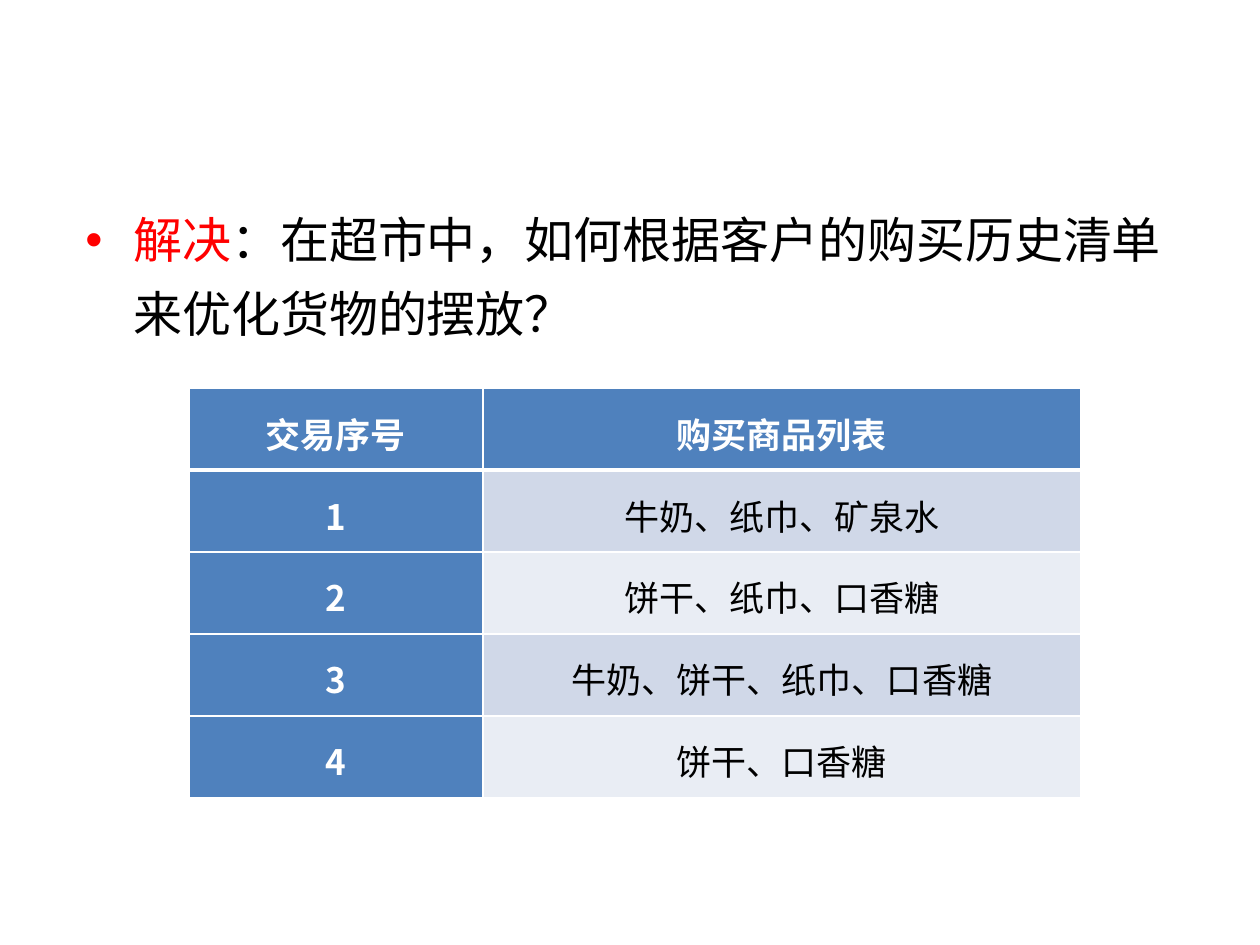
from lxml.etree import SubElement
from pptx import Presentation
from pptx.dml.color import RGBColor
from pptx.enum.text import MSO_ANCHOR, PP_ALIGN
from pptx.oxml.ns import qn
from pptx.util import Emu, Pt

PX = 914400 // 126
FONT = "Noto Sans CJK SC"
COLORS = {
    "white": "FFFFFF",
    "black": "000000",
    "accent": "FF0000",
    "header": "4F81BD",
    "odd": "D0D8E8",
    "even": "E9EDF4",
}
QUESTION = [
    ("解决", "accent"),
    ("：在超市中，如何根据客户的购买历史清单来优化货物的摆放？", "black"),
]
HEADINGS = ("交易序号", "购买商品列表")
PURCHASES = ["牛奶、纸巾、矿泉水", "饼干、纸巾、口香糖", "牛奶、饼干、纸巾、口香糖", "饼干、口香糖"]
COLUMN_WIDTHS = (294, 598)
ROW_HEIGHT = 82


def px(length):
    return Emu(length * PX)


def rgb(name):
    return RGBColor.from_string(COLORS[name])


def set_font(paragraph, size):
    paragraph.font.size = Pt(size)
    paragraph.font.name = FONT
    properties = paragraph.font._element
    SubElement(properties, qn("a:ea"), typeface=FONT)


def add_bullet(paragraph, indent, color):
    properties = paragraph._p.get_or_add_pPr()
    properties.set("marL", str(px(indent)))
    properties.set("indent", str(-px(indent)))
    bullet_color = SubElement(properties, qn("a:buClr"))
    SubElement(bullet_color, qn("a:srgbClr"), val=COLORS[color])
    SubElement(properties, qn("a:buFont"), typeface="Arial")
    SubElement(properties, qn("a:buChar"), char="•")


def add_question(slide):
    frame = slide.shapes.add_textbox(px(73), px(189), px(1124), px(703)).text_frame
    frame.word_wrap = True
    question = frame.paragraphs[0]
    question.line_spacing = Pt(42)
    question.space_before = Pt(18)
    add_bullet(question, 48, "accent")
    set_font(question, 28)
    for text, color in QUESTION:
        part = question.add_run()
        part.text = text
        part.font.color.rgb = rgb(color)


def set_borders(cell, bottom):
    properties = cell._tc.get_or_add_tcPr()
    for side, width in (("L", 1), ("R", 1), ("T", 1), ("B", bottom)):
        line = SubElement(properties, qn(f"a:ln{side}"), w=str(Pt(width)))
        fill = SubElement(line, qn("a:solidFill"))
        SubElement(fill, qn("a:srgbClr"), val=COLORS["white"])


def fill_cell(cell, text, fill, emphasised, bottom):
    set_borders(cell, bottom)
    cell.fill.solid()
    cell.fill.fore_color.rgb = rgb(fill)
    cell.vertical_anchor = MSO_ANCHOR.MIDDLE
    cell.margin_left = cell.margin_right = px(9)
    cell.margin_top = cell.margin_bottom = 0
    cell.text = text
    label = cell.text_frame.paragraphs[0]
    label.alignment = PP_ALIGN.CENTER
    label.line_spacing = 1.15
    set_font(label, 20)
    label.font.bold = emphasised
    label.font.color.rgb = rgb("white" if emphasised else "black")


def add_purchases(slide):
    rows = [HEADINGS, *((str(n), goods) for n, goods in enumerate(PURCHASES, 1))]
    table = slide.shapes.add_table(
        len(rows), len(HEADINGS), px(189), px(388),
        px(sum(COLUMN_WIDTHS)), px(ROW_HEIGHT * len(rows)),
    ).table
    table.first_col = True
    for column, width in zip(table.columns, COLUMN_WIDTHS):
        column.width = px(width)
    for r, texts in enumerate(rows):
        table.rows[r].height = px(ROW_HEIGHT)
        for c, text in enumerate(texts):
            emphasised = r == 0 or c == 0
            fill = "header" if emphasised else "odd" if r % 2 else "even"
            fill_cell(table.cell(r, c), text, fill, emphasised, 1 if r else 3)


def main():
    """Build the slide on optimising shelf layout from purchase histories."""
    presentation = Presentation()
    presentation.slide_width = px(1260)
    presentation.slide_height = px(945)
    slide = presentation.slides.add_slide(presentation.slide_layouts[6])
    add_question(slide)
    add_purchases(slide)
    presentation.save("out.pptx")


if __name__ == "__main__":
    main()
